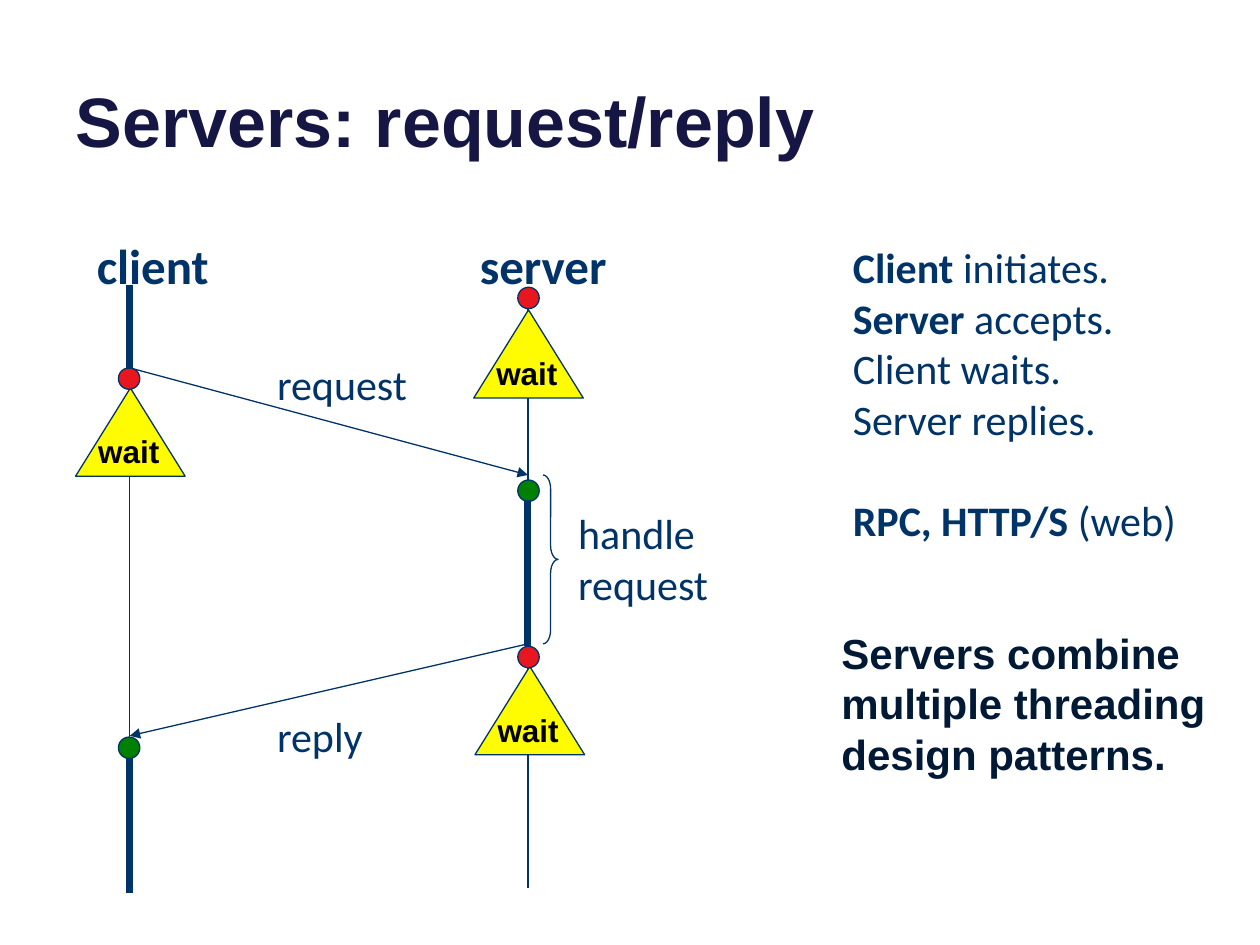
import pptx
import pptx.util
import pptx.dml.color
import pptx.enum.shapes
import pptx.enum.text
import pptx.oxml.ns
from lxml import etree

Inches, Pt = pptx.util.Inches, pptx.util.Pt
RGBColor = pptx.dml.color.RGBColor
Shapes = pptx.enum.shapes.MSO_SHAPE
COLORS = {"title": "161645", "navy": "003367", "dark": "001934", "black": "000000",
          "yellow": "FFFB01", "red": "E8161F", "green": "008000"}

presentation = pptx.Presentation()
presentation.slide_width, presentation.slide_height = Inches(10), Inches(7.5)
slide = presentation.slides.add_slide(presentation.slide_layouts[5])


def add_text(box, paragraphs, size, font, color, wrap=True):
    """Add a text box; each paragraph is a list of (text, bold) runs."""
    shape = slide.shapes.add_textbox(*[Inches(value) for value in box])
    frame = shape.text_frame
    frame.word_wrap = wrap
    frame.auto_size = pptx.enum.text.MSO_AUTO_SIZE.SHAPE_TO_FIT_TEXT
    for index, runs in enumerate(paragraphs):
        paragraph = frame.paragraphs[0] if index == 0 else frame.add_paragraph()
        for text, bold in runs:
            run = paragraph.add_run()
            run.text = text
            run.font.name, run.font.size, run.font.bold = font, Pt(size), bold
            run.font.color.rgb = RGBColor.from_string(COLORS[color])
    return frame


def add_line(start, end, width=0.75, arrow=False):
    line = slide.shapes.add_connector(pptx.enum.shapes.MSO_CONNECTOR.STRAIGHT,
                                      *[Inches(value) for value in start + end])
    line.line.color.rgb = RGBColor.from_string(COLORS["navy"])
    line.line.width = Pt(width)
    if arrow:
        etree.SubElement(line.line._get_or_add_ln(), pptx.oxml.ns.qn("a:tailEnd"), type="triangle")
    etree.SubElement(line._element.spPr, pptx.oxml.ns.qn("a:effectLst"))


# Title
title = slide.shapes.title
title.left, title.top, title.width, title.height = [Inches(v) for v in (0.5, -0.37, 9, 1.7)]
title.text_frame.text = "Servers: request/reply"
title.text_frame.vertical_anchor = pptx.enum.text.MSO_ANCHOR.BOTTOM
title_paragraph = title.text_frame.paragraphs[0]
title_paragraph.alignment = pptx.enum.text.PP_ALIGN.LEFT
title_font = title_paragraph.runs[0].font
title_font.name, title_font.size, title_font.bold = "Arial", Pt(40), True
title_font.color.rgb = RGBColor.from_string(COLORS["title"])

# Lifelines and messages
client_x, server_x = 1.03, 4.19
for x in (client_x, server_x):
    add_line((x, 2.31), (x, 7.05))
add_line((client_x, 2.92), (server_x, 3.77), arrow=True)
add_line((server_x, 5.11), (client_x, 5.84), arrow=True)

# Labels
for text, left in (("client", 0.67), ("server", 3.71)):
    add_text((left, 1.82, 1.7, 0.57), [[(text, True)]], 28, "Calibri", "navy")
for text, box in (("request", (2.1, 2.8, 2.58, 0.5)),
                  ("reply", (2.1, 5.59, 2.58, 0.5)),
                  ("handle request", (4.49, 3.98, 1.7, 0.91))):
    add_text(box, [[(text, False)]], 24, "Calibri", "navy")

# Brace, wait triangles and event dots
symbols = [(Shapes.RIGHT_BRACE, (4.31, 3.77, 0.12, 1.34), None)]
waits = [(0.6, 3.08), (3.76, 2.46), (3.77, 5.29)]
symbols += [(Shapes.FLOWCHART_EXTRACT, (left, top, 0.87, 0.7), "yellow") for left, top in waits]
dots = [(0.94, 2.92, "red"), (0.94, 5.85, "green"),
        (4.11, 2.28, "red"), (4.11, 3.81, "green"), (4.11, 5.13, "red")]
symbols += [(Shapes.OVAL, (left, top, 0.17, 0.17), color) for left, top, color in dots]
for kind, box, color in symbols:
    shape = slide.shapes.add_shape(kind, *[Inches(value) for value in box])
    shape.shadow.inherit = False
    shape.line.color.rgb = RGBColor.from_string(COLORS["navy"])
    shape.line.width = Pt(0.75)
    if color:
        shape.fill.solid()
        shape.fill.fore_color.rgb = RGBColor.from_string(COLORS[color])
    else:
        shape.fill.background()
        shape.adjustments[0] = 0.92
for left, top in waits:
    add_text((left + 0.08, top + 0.3, 0.69, 0.4), [[("wait", True)]], 18, "Arial", "black", wrap=False)

# Periods of activity
for x, top, bottom in ((client_x, 2.26, 2.93), (server_x, 3.97, 5.13), (client_x, 6.02, 7.09)):
    add_line((x, top), (x, bottom), width=4)

# Explanation
steps = add_text((6.67, 1.87, 2.82, 2.52),
                 [[("Client ", True), ("initiates.", False)],
                  [("Server", True), (" accepts.", False)],
                  [("Client waits.", False)],
                  [("Server replies.", False)],
                  [("RPC, HTTP/S ", True), ("(web)", False)]],
                 24, "Calibri", "navy")
steps.paragraphs[-1].space_before = Pt(29)
add_text((6.58, 4.93, 3.41, 1.31),
         [[("Servers combine multiple threading design patterns.", True)]], 24, "Arial", "dark")

presentation.save("out.pptx")
